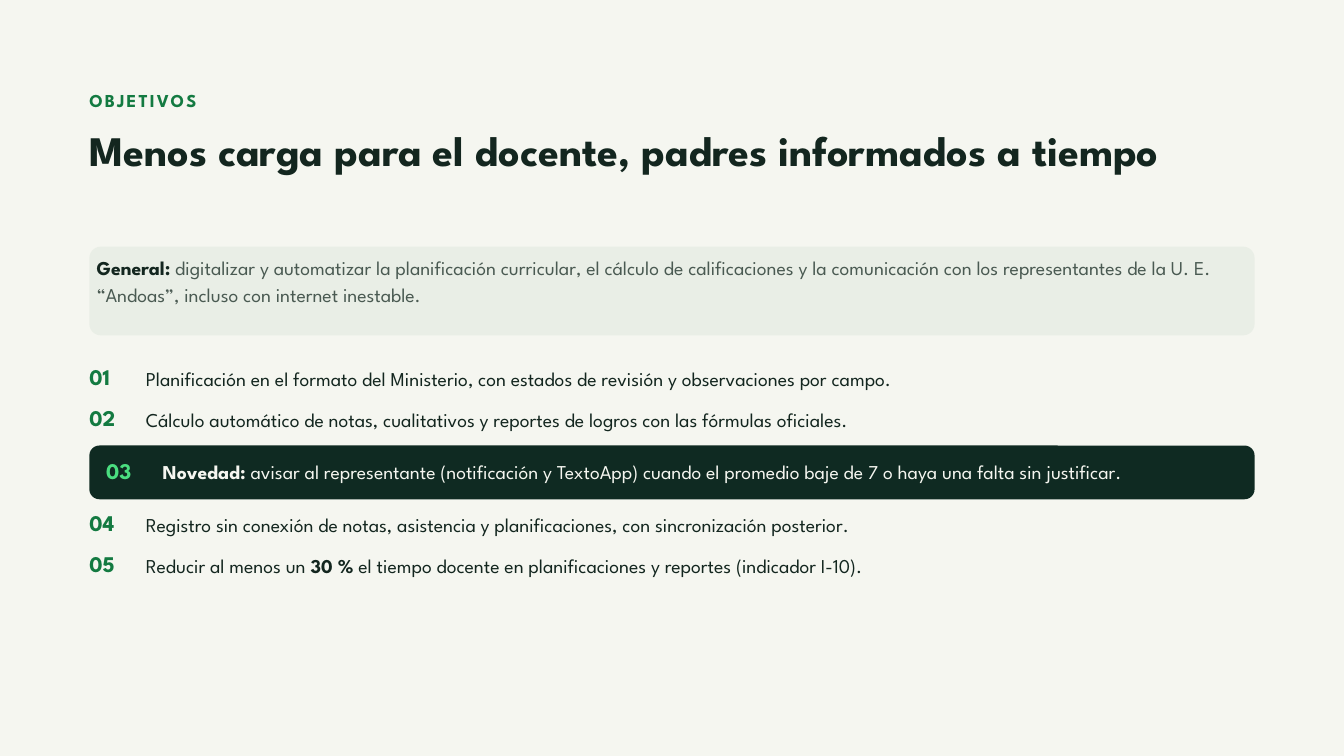
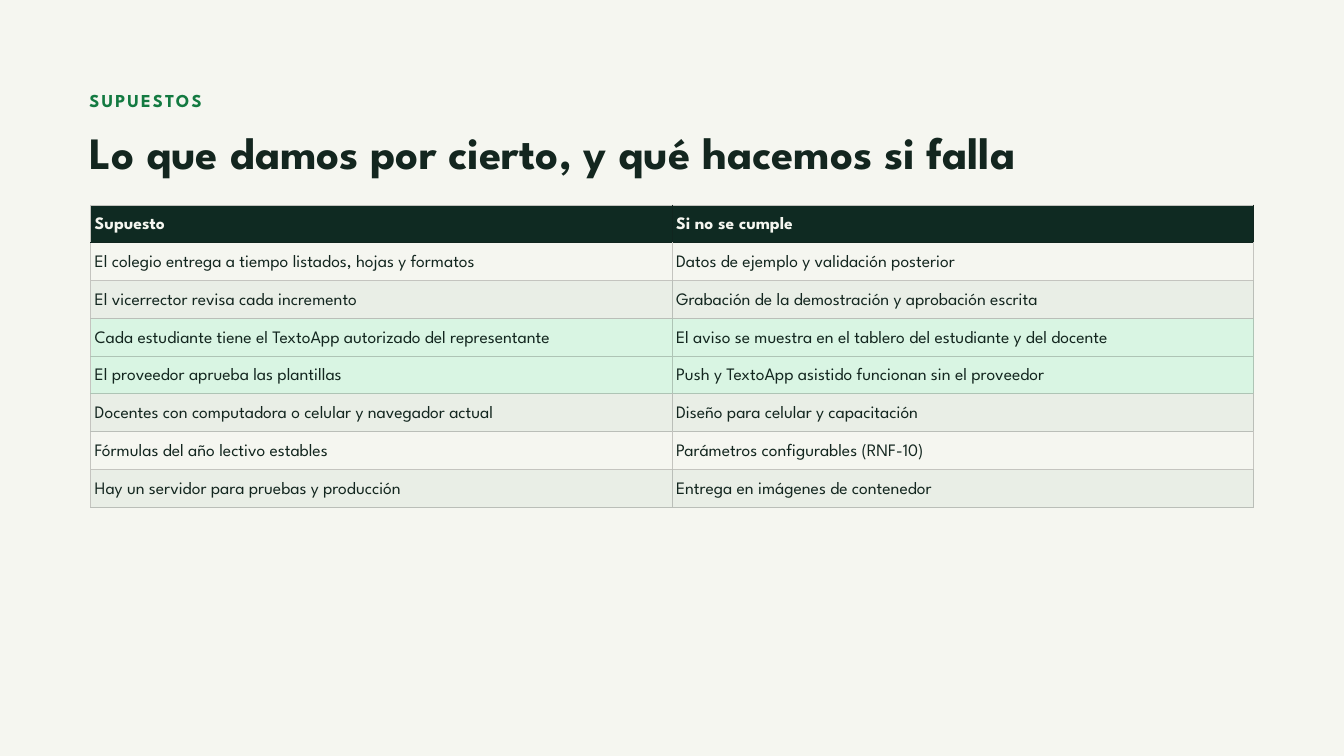
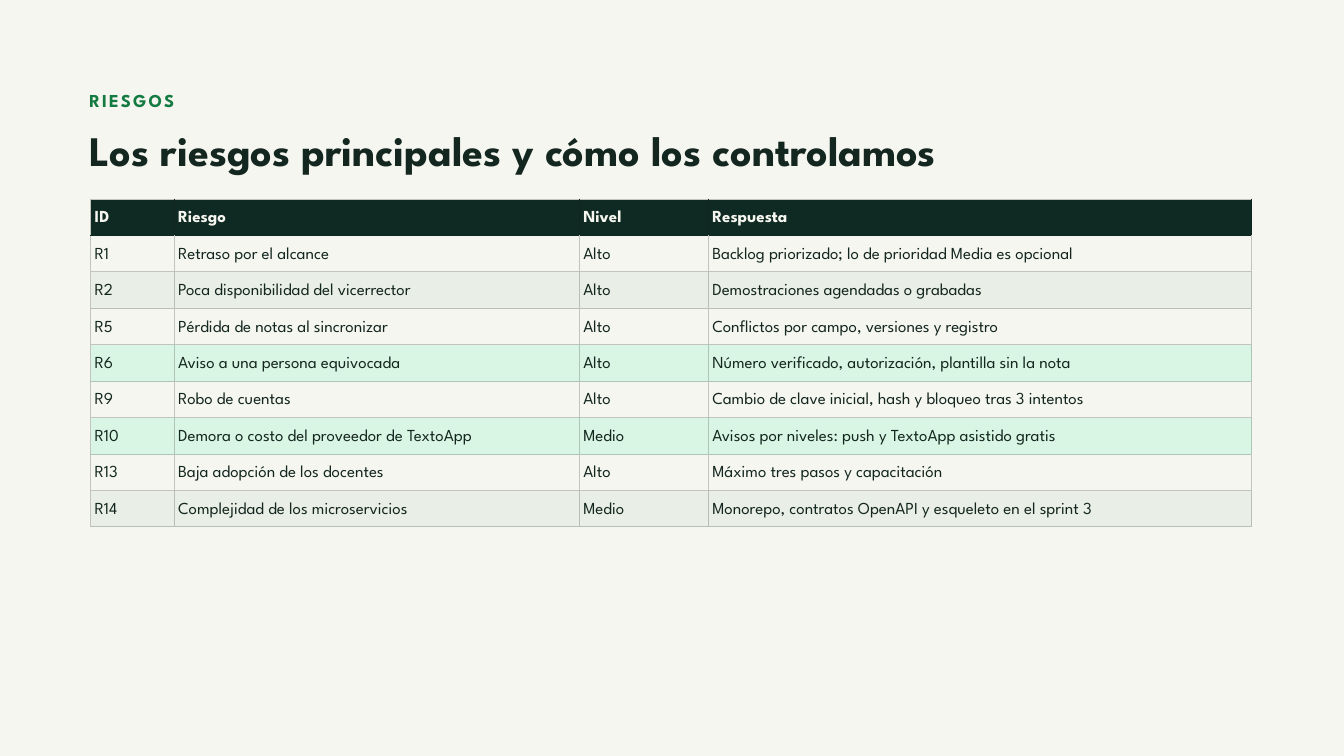
"""Build three slides on the goals, assumptions and risks of a school platform."""
from lxml import etree
from pptx import Presentation
from pptx.dml.color import RGBColor
from pptx.enum.shapes import MSO_SHAPE
from pptx.enum.text import MSO_ANCHOR, MSO_AUTO_SIZE, PP_ALIGN
from pptx.oxml.ns import qn
from pptx.util import Inches, Pt

ROUNDED = MSO_SHAPE.ROUNDED_RECTANGLE
TOP, LEFT_ALIGNED = MSO_ANCHOR.TOP, PP_ALIGN.LEFT
GROW = MSO_AUTO_SIZE.SHAPE_TO_FIT_TEXT

FONT = "League Spartan"
PAPER = RGBColor(0xF5, 0xF6, 0xF0)
INK = RGBColor(0x13, 0x26, 0x1F)
GREY = RGBColor(0x4A, 0x5A, 0x52)
GREEN = RGBColor(0x13, 0x7A, 0x41)
BRIGHT = RGBColor(0x4A, 0xDE, 0x80)
FOREST = RGBColor(0x0F, 0x2A, 0x22)
SAGE = RGBColor(0xE9, 0xEE, 0xE6)
MINT = RGBColor(0xD9, 0xF5, 0xE3)
FOREST_EDGE = RGBColor(0x10, 0x25, 0x1F)
PLAIN_EDGE = RGBColor(0xC4, 0xC4, 0xBF)
SAGE_EDGE = RGBColor(0xBA, 0xBE, 0xB8)
MINT_EDGE = RGBColor(0xAE, 0xC4, 0xB5)

WIDTH, HEIGHT = 20, 11.25
MARGIN = 1.33
CONTENT_WIDTH = WIDTH - 2 * MARGIN
HEADING_WIDTH = 17.85
CELL_INSET = 0.06
GOALS_TOP, GOAL_STEP = 5.34, 0.61
NOVELTY_STEP, BAND_HEIGHT = 0.95, 0.8

ROW_STYLES = {
    "header": (FOREST, FOREST_EDGE),
    "plain": (None, PLAIN_EDGE),
    "soft": (SAGE, SAGE_EDGE),
    "mint": (MINT, MINT_EDGE),
}

GENERAL_GOAL = [
    ("General:", INK, True),
    (" digitalizar y automatizar la planificación curricular, el cálculo de "
     "calificaciones y la comunicación con los representantes de la U. E. "
     "“Andoas”, incluso con internet inestable.", GREY, False),
]

GOALS = [
    [("Planificación en el formato del Ministerio, con estados de revisión y "
      "observaciones por campo.", INK, False)],
    [("Cálculo automático de notas, cualitativos y reportes de logros con las "
      "fórmulas oficiales.", INK, False)],
    [("Novedad:", PAPER, True),
     (" avisar al representante (notificación y TextoApp) cuando el promedio "
      "baje de 7 o haya una falta sin justificar.", PAPER, False)],
    [("Registro sin conexión de notas, asistencia y planificaciones, con "
      "sincronización posterior.", INK, False)],
    [("Reducir al menos un ", INK, False), ("30 %", INK, True),
     (" el tiempo docente en planificaciones y reportes (indicador I-10).",
      INK, False)],
]
NOVELTY = 3

ASSUMPTIONS = [
    ("header", "Supuesto", "Si no se cumple"),
    ("plain", "El colegio entrega a tiempo listados, hojas y formatos",
     "Datos de ejemplo y validación posterior"),
    ("soft", "El vicerrector revisa cada incremento",
     "Grabación de la demostración y aprobación escrita"),
    ("mint", "Cada estudiante tiene el TextoApp autorizado del representante",
     "El aviso se muestra en el tablero del estudiante y del docente"),
    ("mint", "El proveedor aprueba las plantillas",
     "Push y TextoApp asistido funcionan sin el proveedor"),
    ("soft", "Docentes con computadora o celular y navegador actual",
     "Diseño para celular y capacitación"),
    ("plain", "Fórmulas del año lectivo estables",
     "Parámetros configurables (RNF-10)"),
    ("soft", "Hay un servidor para pruebas y producción",
     "Entrega en imágenes de contenedor"),
]

RISKS = [
    ("header", "ID", "Riesgo", "Nivel", "Respuesta"),
    ("plain", "R1", "Retraso por el alcance", "Alto",
     "Backlog priorizado; lo de prioridad Media es opcional"),
    ("soft", "R2", "Poca disponibilidad del vicerrector", "Alto",
     "Demostraciones agendadas o grabadas"),
    ("plain", "R5", "Pérdida de notas al sincronizar", "Alto",
     "Conflictos por campo, versiones y registro"),
    ("mint", "R6", "Aviso a una persona equivocada", "Alto",
     "Número verificado, autorización, plantilla sin la nota"),
    ("plain", "R9", "Robo de cuentas", "Alto",
     "Cambio de clave inicial, hash y bloqueo tras 3 intentos"),
    ("mint", "R10", "Demora o costo del proveedor de TextoApp", "Medio",
     "Avisos por niveles: push y TextoApp asistido gratis"),
    ("plain", "R13", "Baja adopción de los docentes", "Alto",
     "Máximo tres pasos y capacitación"),
    ("soft", "R14", "Complejidad de los microservicios", "Medio",
     "Monorepo, contratos OpenAPI y esqueleto en el sprint 3"),
]


def write(frame, runs, size, leading, tracking=0):
    """Fill a text frame with one paragraph of (text, colour, bold) runs."""
    paragraph = frame.paragraphs[0]
    paragraph.alignment = LEFT_ALIGNED
    paragraph.line_spacing = Pt(size * leading)
    for text, colour, bold in runs:
        run = paragraph.add_run()
        run.text = text
        run.font.name = FONT
        run.font.size = Pt(size)
        run.font.bold = bold
        run.font.color.rgb = colour
        if tracking:
            run._r.get_or_add_rPr().set("spc", str(round(tracking * 100)))


def set_margins(target, sides, top):
    """Set equal side margins and a top margin on a frame or cell."""
    target.margin_left = target.margin_right = Inches(sides)
    target.margin_top = target.margin_bottom = Inches(top)


def add_text(slide, box, runs, size, leading, tracking=0):
    """Add a wrapping text box without margins."""
    frame = slide.shapes.add_textbox(*map(Inches, box)).text_frame
    frame.word_wrap = True
    frame.auto_size = GROW
    set_margins(frame, 0, 0)
    write(frame, runs, size, leading, tracking)


def add_panel(slide, top, height, radius, colour):
    """Add a rounded panel as wide as the content."""
    panel = slide.shapes.add_shape(
        ROUNDED, *map(Inches, (MARGIN, top, CONTENT_WIDTH, height)))
    panel.adjustments[0] = radius / height
    panel.shadow.inherit = False
    panel.fill.solid()
    panel.fill.fore_color.rgb = colour
    panel.line.fill.background()
    return panel


def add_slide(presentation, label, title, title_size):
    """Add a slide with its background, label and title."""
    slide = presentation.slides.add_slide(presentation.slide_layouts[6])
    slide.background.fill.solid()
    slide.background.fill.fore_color.rgb = PAPER
    add_text(slide, (MARGIN, 1.28, HEADING_WIDTH, 0.47),
             [(label, GREEN, True)], 19.5, 1.4, 2.2)
    add_text(slide, (MARGIN, 1.92, HEADING_WIDTH, 0.7),
             [(title, INK, True)], title_size, 1.1)
    return slide


def add_goals(slide):
    """Add the general goal panel and the numbered goals."""
    panel = add_panel(slide, 3.67, 1.32, 0.17, SAGE)
    frame = panel.text_frame
    frame.word_wrap = True
    frame.vertical_anchor = TOP
    set_margins(frame, CELL_INSET - 0.05, 0)
    set_margins(frame, CELL_INSET, 0.03)
    write(frame, GENERAL_GOAL, 21, 1.4)

    top = GOALS_TOP
    for number, runs in enumerate(GOALS, 1):
        left, text_top, colour, step = MARGIN, top, GREEN, GOAL_STEP
        if number == NOVELTY:
            add_panel(slide, top + 0.07, BAND_HEIGHT, 0.15, FOREST)
            left, text_top, colour, step = (
                MARGIN + 0.25, top + 0.17, BRIGHT, NOVELTY_STEP)
        add_text(slide, (left, text_top, 0.67, 0.57),
                 [(f"{number:02}", colour, True)], 24, 1.4)
        add_text(slide, (left + 0.84, text_top + 0.09, 16.48, 0.44),
                 runs, 21, 1.3)
        top += step


def set_borders(cell, **edges):
    """Draw one-point borders; edges are given in the order L, R, T, B."""
    properties = cell._tc.get_or_add_tcPr()
    for side, colour in edges.items():
        line = etree.SubElement(properties, qn(f"a:ln{side}"), w=str(Pt(1)))
        fill = etree.SubElement(line, qn("a:solidFill"))
        etree.SubElement(fill, qn("a:srgbClr"), val=str(colour))


def add_grid(slide, rows, top, widths, row_height, size):
    """Add a table whose rows are coloured by their style name."""
    table = slide.shapes.add_table(
        len(rows), len(widths), Inches(1.35), Inches(top),
        Inches(sum(widths)), Inches(row_height * len(rows))).table
    table.first_row = table.horz_banding = False
    for column, width in zip(table.columns, widths):
        column.width = Inches(width)
    edge_above = PLAIN_EDGE
    for row_index, (style, *texts) in enumerate(rows):
        table.rows[row_index].height = Inches(row_height)
        colour, edge = ROW_STYLES[style]
        is_header = style == "header"
        for column_index, text in enumerate(texts):
            cell = table.cell(row_index, column_index)
            set_margins(cell, CELL_INSET, CELL_INSET)
            set_borders(cell, L=edge if column_index else PLAIN_EDGE,
                        R=edge, T=edge_above, B=edge)
            if colour is None:
                cell.fill.background()
            else:
                cell.fill.solid()
                cell.fill.fore_color.rgb = colour
            write(cell.text_frame,
                  [(text, PAPER if is_header else INK, is_header)], size, 1.4)
        edge_above = edge


def main():
    """Build and save the presentation."""
    presentation = Presentation()
    presentation.slide_width = Inches(WIDTH)
    presentation.slide_height = Inches(HEIGHT)
    add_goals(add_slide(
        presentation, "OBJETIVOS",
        "Menos carga para el docente, padres informados a tiempo", 45))
    assumptions = add_slide(
        presentation, "SUPUESTOS",
        "Lo que damos por cierto, y qué hacemos si falla", 48)
    add_grid(assumptions, ASSUMPTIONS, 3.05, (8.65, 8.65), 4.5 / 8, 18.75)
    risks = add_slide(
        presentation, "RIESGOS",
        "Los riesgos principales y cómo los controlamos", 45)
    add_grid(risks, RISKS, 2.96, (1.24, 6.03, 1.92, 8.08), 4.88 / 9, 18)
    presentation.save("out.pptx")


if __name__ == "__main__":
    main()
